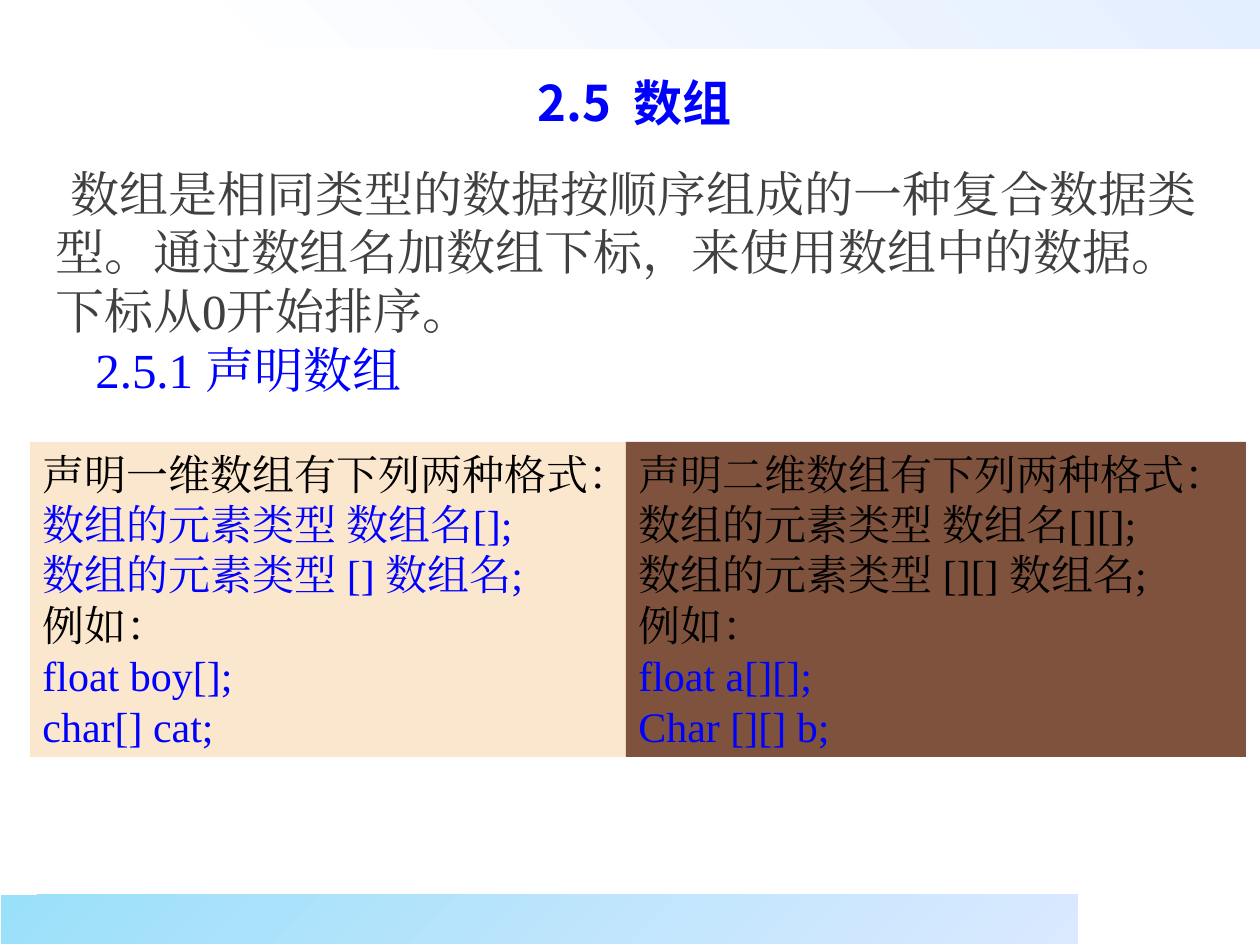
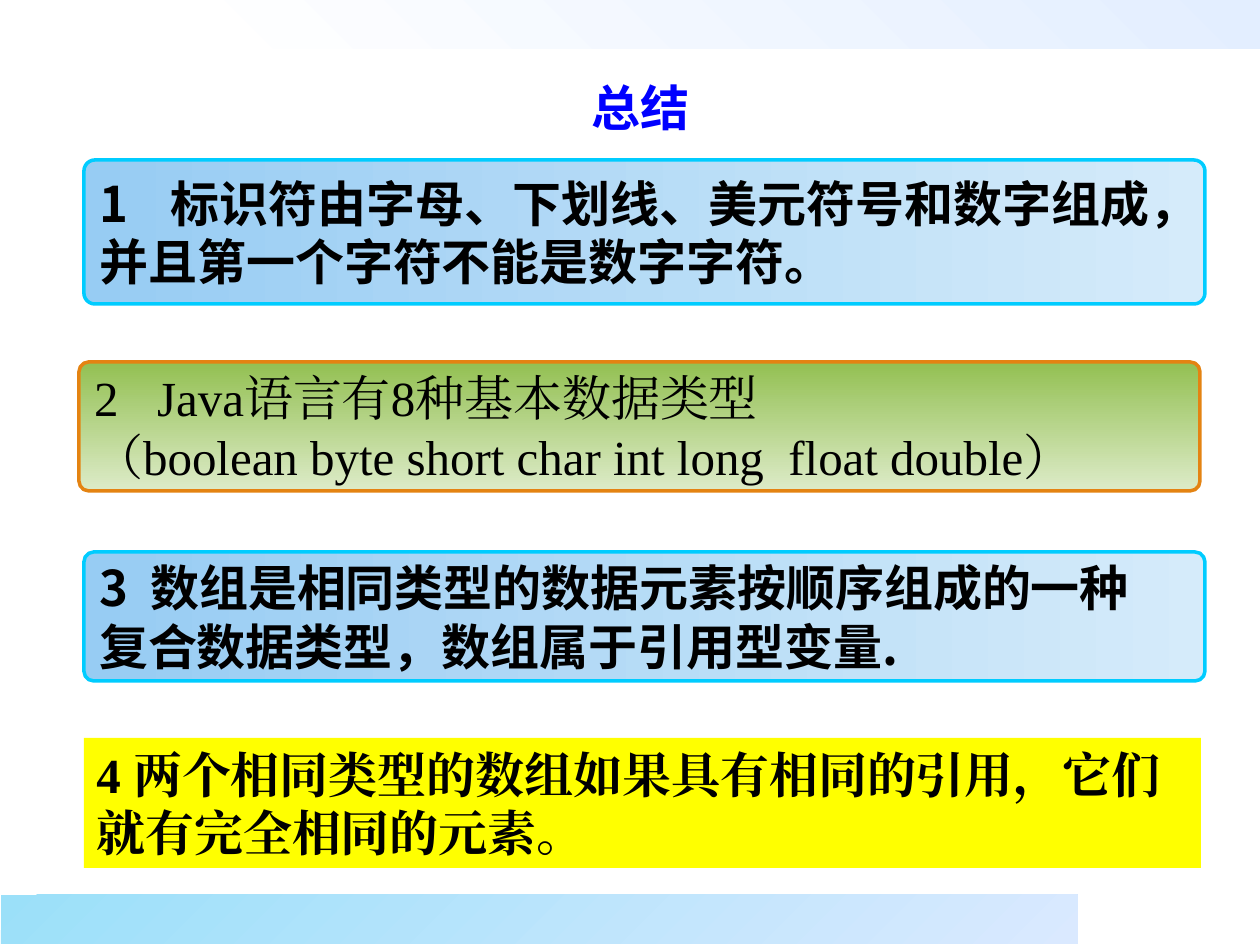
from pptx import Presentation
from pptx.dml.color import RGBColor
from pptx.enum.shapes import MSO_SHAPE
from pptx.enum.text import MSO_ANCHOR, PP_ALIGN
from pptx.oxml.ns import qn
from pptx.util import Emu, Pt
from lxml import etree

RECT, ROUND = MSO_SHAPE.RECTANGLE, MSO_SHAPE.ROUNDED_RECTANGLE
TOP, MID = MSO_ANCHOR.TOP, MSO_ANCHOR.MIDDLE
LEFT, CENTER = PP_ALIGN.LEFT, PP_ALIGN.CENTER

HUES = {
    "black": "000000", "gray": "404040", "blue": "0000FF",
    "cream": "FBE6CE", "brown": "7F523D", "yellow": "FFFF00",
    "cyan": "00CCFF", "orange": "E48312",
    "white": "FFFFFF", "pale": "E3EEFF", "aqua": "9BE0F9", "mist": "DAE9FF",
    "sky": "97CCF3", "ice": "D5EBFA", "green": "93C052", "mint": "DDEBC8",
}
SERIF, SANS, TITLE = "Times New Roman", "Noto Sans CJK SC", "Calibri"
SCALE = 914400 / 126


def px(n):
    return Emu(round(n * SCALE))


def hue(name):
    return RGBColor.from_string(HUES[name])


class Deck:
    def __init__(self):
        self.prs = Presentation()
        self.prs.slide_width, self.prs.slide_height = px(1260), px(945)
        self.slide = None

    def page(self, title, at, font):
        self.slide = self.prs.slides.add_slide(self.prs.slide_layouts[6])
        self.shape(RECT, (194, 0, 1066, 49), ("white", "pale", 315))
        self.shape(RECT, (1, 895, 1077, 49), ("aqua", "mist", 45))
        box = self.text(at, [(title, "blue")], font, bold=True, anchor=MID)
        para = box.text_frame.paragraphs[0]
        para.alignment, para.line_spacing = CENTER, 0.85

    def shape(self, kind, at, fill, line=None):
        box = self.slide.shapes.add_shape(kind, *map(px, at))
        box.shadow.inherit = False
        if isinstance(fill, tuple):
            start, end, angle = fill
            box.fill.gradient()
            box.fill.gradient_angle = (360 - angle) % 360
            for stop, name in zip(box.fill.gradient_stops, (start, end)):
                stop.color.rgb = hue(name)
        else:
            box.fill.solid()
            box.fill.fore_color.rgb = hue(fill)
        if line:
            box.line.color.rgb = hue(line)
            box.line.width = Pt(2)
        else:
            box.line.fill.background()
        if kind == ROUND:
            box.adjustments[0] = 0.076
        return box

    def text(self, at, rows, font=SERIF, size=28, bold=False, anchor=TOP):
        box = self.slide.shapes.add_textbox(*map(px, at))
        return self.label(box, rows, font, size, bold, anchor)

    def label(self, box, rows, font=SERIF, size=28, bold=False, anchor=TOP, wrap=True):
        frame = box.text_frame
        frame.word_wrap, frame.vertical_anchor = wrap, anchor
        frame.text = "\n".join(row for row, _ in rows)
        for para, (_, name) in zip(frame.paragraphs, rows):
            para.alignment = LEFT
            para.line_spacing = Pt(size * 1.2)
            for run in para.runs:
                run.font.name, run.font.size = font, Pt(size)
                run.font.bold, run.font.color.rgb = bold, hue(name)
                east = etree.SubElement(run._r.get_or_add_rPr(), qn("a:ea"))
                east.set("typeface", font)
        return box

    def panel(self, at, fill, rows, **style):
        return self.label(self.shape(RECT, at, fill), rows, **style)

    def card(self, at, fill, line, rows, **style):
        box = self.shape(ROUND, at, fill, line)
        rows = [(row, "black") for row in rows]
        return self.label(box, rows, anchor=MID, wrap=False, **style)

    def indent(self, para, left, first):
        props = para._p.get_or_add_pPr()
        props.set("marL", str(px(left)))
        props.set("indent", str(px(first)))
        return props

    def mark(self, para, left, tag, **attrs):
        props = self.indent(para, left, -left)
        etree.SubElement(props, qn(tag), attrs)

    def count(self, box, left, start):
        first, second = box.text_frame.paragraphs
        self.mark(first, left, "a:buAutoNum", type="arabicPlain", startAt=str(start))
        self.indent(second, left, -left)


def arrays(deck):
    deck.page("2.5  数组", (63, 58, 1143, 97), SANS)
    intro = deck.text((34, 157, 1196, 266), [
        ("数组是相同类型的数据按顺序组成的一种复合数据类型。"
         "通过数组名加数组下标，来使用数组中的数据。下标从0开始排序。", "gray"),
        ("2.5.1 声明数组", "blue"),
    ])
    lead, head = intro.text_frame.paragraphs
    deck.mark(lead, 9, "a:buChar", char=" ")
    deck.indent(head, 49, 0)

    forms = [
        (30, 638, "cream", "blue", "一", "[]", ("float boy[];", "char[] cat;")),
        (626, 620, "brown", "black", "二", "[][]", ("float a[][];", "Char [][] b;")),
    ]
    for left, width, fill, ink, rank, pair, code in forms:
        rows = [
            (f"声明{rank}维数组有下列两种格式：", "black"),
            (f"数组的元素类型 数组名{pair};", ink),
            (f"数组的元素类型 {pair} 数组名;", ink),
            ("例如：", "black"),
        ] + [(row, "blue") for row in code]
        deck.panel((left, 442, width, 315), fill, rows, size=24)


def summary(deck):
    deck.page("总结", (63, 69, 1155, 86), TITLE)
    water = ("sky", "ice", 0)
    names = deck.card((84, 160, 1121, 144), water, "cyan", [
        "标识符由字母、下划线、美元符号和数字组成，",
        "并且第一个字符不能是数字字符。",
    ], font=SANS, bold=True)
    deck.count(names, 71, 1)
    types = deck.card((79, 362, 1121, 129), ("green", "mint", 90), "orange", [
        "Java语言有8种基本数据类型",
        "（boolean byte short char int long  float double）",
    ])
    deck.count(types, 63, 2)
    deck.card((84, 552, 1121, 129), water, "cyan", [
        "3  数组是相同类型的数据元素按顺序组成的一种",
        "复合数据类型，数组属于引用型变量.",
    ], font=SANS, bold=True)
    deck.panel((84, 738, 1117, 130), "yellow", [
        ("4 两个相同类型的数组如果具有相同的引用，它们就有完全相同的元素。", "black"),
    ], bold=True)


def main():
    deck = Deck()
    arrays(deck)
    summary(deck)
    deck.prs.save("out.pptx")


if __name__ == "__main__":
    main()
